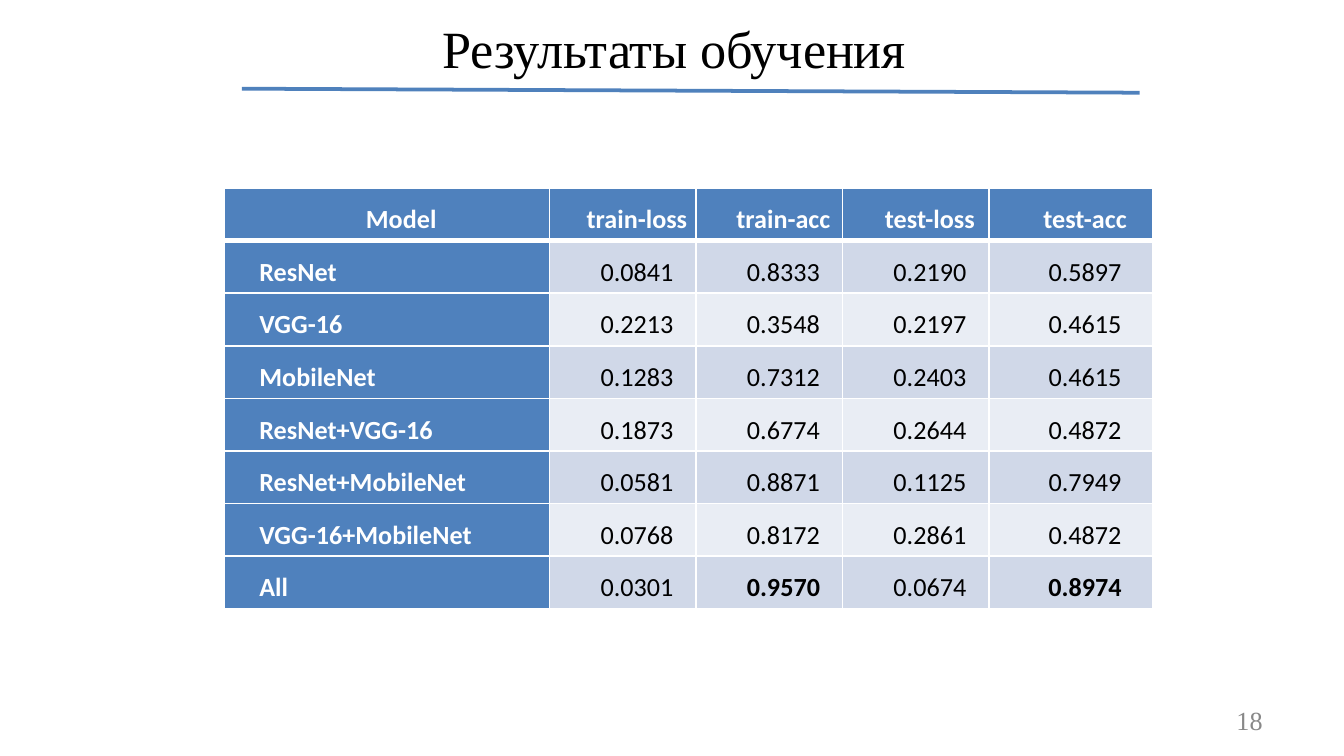
from lxml import etree
from pptx import Presentation
from pptx import util as u
from pptx.dml.color import RGBColor
from pptx.enum import shapes, text
from pptx.oxml import ns

BLUE = RGBColor(0x4F, 0x81, 0xBD)
RULE_BLUE = RGBColor(0x4F, 0x81, 0xBC)
BAND_DARK = RGBColor(0xD0, 0xD8, 0xE8)
BAND_LIGHT = RGBColor(0xE9, 0xED, 0xF4)
WHITE = RGBColor(0xFF, 0xFF, 0xFF)
BLACK = RGBColor(0, 0, 0)
GREY = RGBColor(0x88, 0x88, 0x88)
SERIF, SANS = "Times New Roman", "Calibri"

HEADINGS = ("Model", "train-loss", "train-acc", "test-loss", "test-acc")
RESULTS = (
    ("ResNet", "0.0841", "0.8333", "0.2190", "0.5897"),
    ("VGG-16", "0.2213", "0.3548", "0.2197", "0.4615"),
    ("MobileNet", "0.1283", "0.7312", "0.2403", "0.4615"),
    ("ResNet+VGG-16", "0.1873", "0.6774", "0.2644", "0.4872"),
    ("ResNet+MobileNet", "0.0581", "0.8871", "0.1125", "0.7949"),
    ("VGG-16+MobileNet", "0.0768", "0.8172", "0.2861", "0.4872"),
    ("All", "0.0301", "0.9570", "0.0674", "0.8974"),
)
BEST = ("0.9570", "0.8974")
COLUMN_WIDTHS = (2.42, 1.09, 1.09, 1.09, 1.22)
TABLE_HEIGHT = 3.13


def add_run(paragraph, words, size, font, color, bold=False):
    """Append one formatted run to a paragraph."""
    run = paragraph.add_run()
    run.text = words
    run.font.size = u.Pt(size)
    run.font.name = font
    run.font.bold = bold
    run.font.color.rgb = color
    return run


def set_indent(paragraph, left, first):
    """Set the left margin and first-line indent of a paragraph."""
    properties = paragraph._p.get_or_add_pPr()
    properties.set("marL", str(u.Inches(left)))
    properties.set("indent", str(u.Inches(first)))


def prepare_frame(frame, top=0):
    """Give a text frame tight margins and top anchoring."""
    frame.margin_left = frame.margin_right = frame.margin_bottom = 0
    frame.margin_top = u.Inches(top)
    frame.word_wrap = True
    frame.auto_size = text.MSO_AUTO_SIZE.SHAPE_TO_FIT_TEXT
    frame.vertical_anchor = text.MSO_ANCHOR.TOP
    return frame.paragraphs[0]


def add_title(slide, words):
    """Place and fill the title placeholder."""
    title = slide.shapes.title
    title.left, title.top = u.Inches(3.16), u.Inches(0.11)
    title.width, title.height = u.Inches(3.67), u.Inches(0.49)
    heading = prepare_frame(title.text_frame, 0.01)
    heading.alignment = text.PP_ALIGN.LEFT
    heading.space_before = u.Pt(0.9)
    set_indent(heading, 0.13, 0)
    run = add_run(heading, words, 28, SERIF, BLACK)
    run.font._element.set("spc", "-5")


def add_rule(slide):
    """Draw the line under the title."""
    rule = slide.shapes.add_connector(
        shapes.MSO_CONNECTOR.STRAIGHT,
        u.Inches(1.8), u.Inches(0.66), u.Inches(8.48), u.Inches(0.69))
    rule.line.color.rgb = RULE_BLUE
    rule.line.width = u.Pt(2)
    etree.SubElement(rule._element.spPr, ns.qn("a:effectLst"))


def add_page_number(slide, number):
    """Add the page number at the bottom right."""
    box = slide.shapes.add_textbox(
        u.Inches(9.16), u.Inches(5.25), u.Inches(0.28), u.Inches(0.24))
    line = prepare_frame(box.text_frame)
    line.line_spacing = u.Pt(16.3)
    set_indent(line, 0.04, 0)
    add_run(line, number, 14, SERIF, GREY)


def set_borders(cell, bottom):
    """Draw white cell borders with a given bottom width."""
    properties = cell._tc.get_or_add_tcPr()
    widths = {"lnL": 1, "lnR": 1, "lnT": 1, "lnB": bottom}
    for position, (side, width) in enumerate(widths.items()):
        border = etree.Element(ns.qn(f"a:{side}"), w=str(u.Pt(width)))
        fill = etree.SubElement(border, ns.qn("a:solidFill"))
        etree.SubElement(fill, ns.qn("a:srgbClr"), val=str(WHITE))
        properties.insert(position, border)


def fill_cell(cell, words, row, column):
    """Write and format one cell according to its row and column."""
    is_label = row == 0 or column == 0
    band = BAND_DARK if row % 2 else BAND_LIGHT
    cell.fill.solid()
    cell.fill.fore_color.rgb = BLUE if is_label else band
    cell.margin_left = cell.margin_right = u.Inches(0.05)
    cell.margin_top = cell.margin_bottom = 0
    entry = cell.text_frame.paragraphs[0]
    is_model = row > 0 and column == 0
    entry.alignment = text.PP_ALIGN.LEFT if is_model else text.PP_ALIGN.CENTER
    entry.line_spacing = 1.5
    set_indent(entry, 0, 0.21)
    add_run(entry, words, 14, SANS, WHITE if is_label else BLACK,
            is_label or words in BEST)
    set_borders(cell, 1 if row else 3)


def add_results(slide):
    """Add the table of losses and accuracies."""
    rows = (HEADINGS, *RESULTS)
    results = slide.shapes.add_table(
        len(rows), len(HEADINGS), u.Inches(1.67), u.Inches(1.4),
        u.Inches(sum(COLUMN_WIDTHS)), u.Inches(TABLE_HEIGHT)).table
    results.first_col = True
    for column, width in zip(results.columns, COLUMN_WIDTHS):
        column.width = u.Inches(width)
    for r, values in enumerate(rows):
        results.rows[r].height = u.Inches(TABLE_HEIGHT / len(rows))
        for c, words in enumerate(values):
            fill_cell(results.cell(r, c), words, r, c)


def main():
    """Build and save the slide."""
    deck = Presentation()
    deck.slide_width = u.Inches(10)
    deck.slide_height = u.Inches(10 * 9 / 16)
    slide = deck.slides.add_slide(deck.slide_layouts[5])
    add_rule(slide)
    add_title(slide, "Результаты обучения")
    add_page_number(slide, "18")
    add_results(slide)
    deck.save("out.pptx")


if __name__ == "__main__":
    main()
